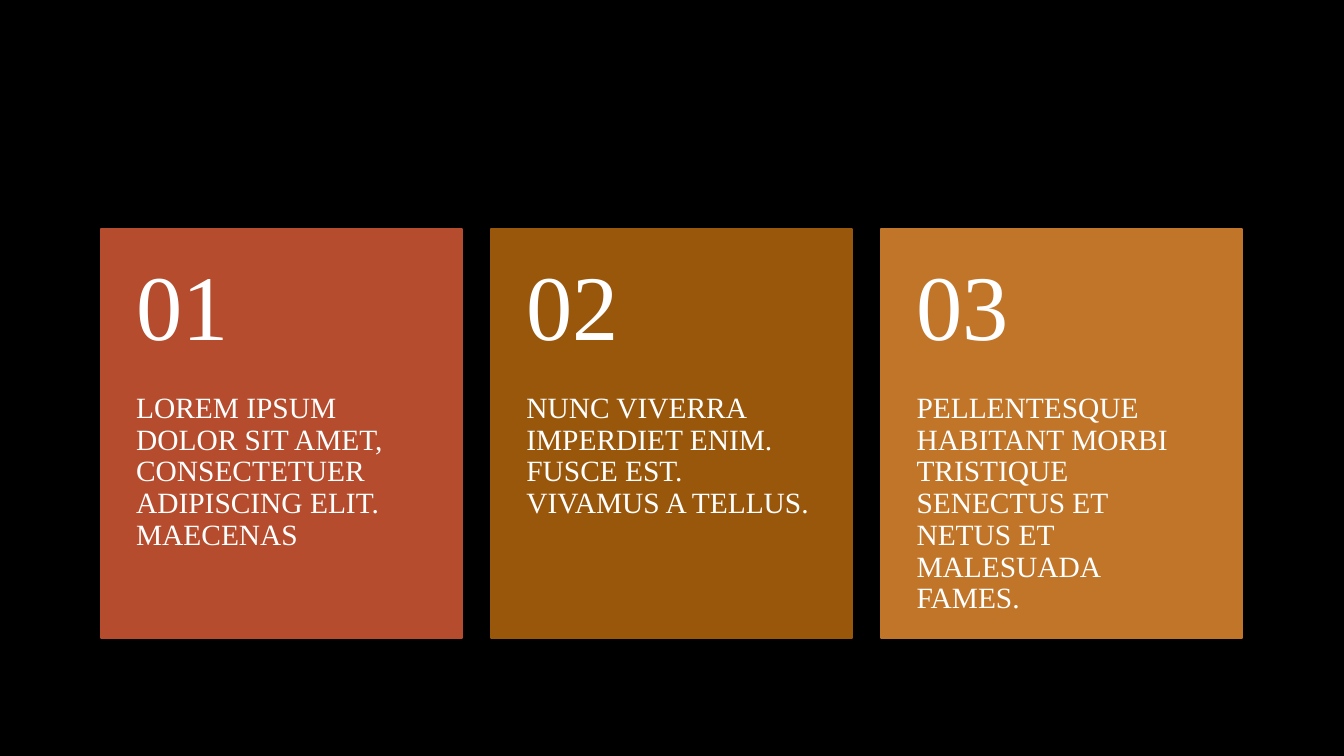
from dataclasses import dataclass

from pptx import Presentation
from pptx.dml.color import RGBColor
from pptx.enum.shapes import MSO_SHAPE as Shape
from pptx.enum.text import MSO_ANCHOR as Anchor, PP_ALIGN as Align
from pptx.shapes.group import GroupShape
from pptx.util import Inches, Pt


@dataclass(frozen=True)
class Theme:
    background: RGBColor = RGBColor(0x00, 0x00, 0x00)
    text: RGBColor = RGBColor(0xFF, 0xFF, 0xFF)
    rust: RGBColor = RGBColor(0xB5, 0x4C, 0x2D)
    brown: RGBColor = RGBColor(0x99, 0x57, 0x0C)
    ochre: RGBColor = RGBColor(0xC1, 0x75, 0x29)
    font: str = "Times New Roman"
    number_size: float = 66
    body_size: float = 21
    border_width: float = 1.25


@dataclass(frozen=True)
class Card:
    body: str
    color: RGBColor


@dataclass(frozen=True)
class TextStyle:
    size: float
    anchor: Anchor
    margin_top: float
    margin_bottom: float


THEME = Theme()
CARDS = [
    Card("LOREM IPSUM DOLOR SIT AMET, CONSECTETUER ADIPISCING ELIT. MAECENAS", THEME.rust),
    Card("NUNC VIVERRA IMPERDIET ENIM. FUSCE EST. VIVAMUS A TELLUS.", THEME.brown),
    Card("PELLENTESQUE HABITANT MORBI TRISTIQUE SENECTUS ET NETUS ET MALESUADA FAMES.",
         THEME.ochre),
]
NUMBER_STYLE = TextStyle(THEME.number_size, Anchor.MIDDLE, 0.18, 0.18)
BODY_STYLE = TextStyle(THEME.body_size, Anchor.TOP, 0, 0.36)

# Card grid, in inches
CARD_LEFT, CARD_TOP = 1, 2.27
CARD_WIDTH, CARD_HEIGHT = 3.58, 4.06
CARD_PITCH = 3.87
NUMBER_HEIGHT, BODY_TOP, BODY_HEIGHT = 1.62, 3.9, 2.44
SIDE_MARGIN = 0.35


def add_text(group: GroupShape, text: str, left: float, top: float,
             height: float, style: TextStyle) -> None:
    box = group.shapes.add_textbox(Inches(left), Inches(top),
                                   Inches(CARD_WIDTH), Inches(height))
    frame = box.text_frame
    frame_format = {
        "word_wrap": True,
        "vertical_anchor": style.anchor,
        "margin_left": Inches(SIDE_MARGIN),
        "margin_right": Inches(SIDE_MARGIN),
        "margin_top": Inches(style.margin_top),
        "margin_bottom": Inches(style.margin_bottom),
    }
    for name, value in frame_format.items():
        setattr(frame, name, value)

    paragraph = frame.paragraphs[0]
    paragraph.text = text
    paragraph.alignment = Align.LEFT
    paragraph.line_spacing = 0.9
    font = paragraph.runs[0].font
    for name, value in {"name": THEME.font, "size": Pt(style.size)}.items():
        setattr(font, name, value)
    font.color.rgb = THEME.text


def add_card(group: GroupShape, index: int, card: Card) -> None:
    left = CARD_LEFT + index * CARD_PITCH
    panel = group.shapes.add_shape(Shape.RECTANGLE, Inches(left), Inches(CARD_TOP),
                                   Inches(CARD_WIDTH), Inches(CARD_HEIGHT))
    panel.shadow.inherit = False
    panel.fill.solid()
    panel.fill.fore_color.rgb = card.color
    panel.line.color.rgb = card.color
    panel.line.width = Pt(THEME.border_width)

    add_text(group, card.body, left, BODY_TOP, BODY_HEIGHT, BODY_STYLE)
    add_text(group, f"{index + 1:02d}", left, CARD_TOP, NUMBER_HEIGHT, NUMBER_STYLE)


def main() -> None:
    deck = Presentation()
    deck.slide_width, deck.slide_height = Inches(13.33), Inches(7.5)

    # Blank layout: the slide has no title
    slide = deck.slides.add_slide(deck.slide_layouts[6])
    slide.background.fill.solid()
    slide.background.fill.fore_color.rgb = THEME.background

    # Numbered cards
    card_group = slide.shapes.add_group_shape()
    for index, card in enumerate(CARDS):
        add_card(card_group, index, card)

    deck.save("out.pptx")


if __name__ == "__main__":
    main()
